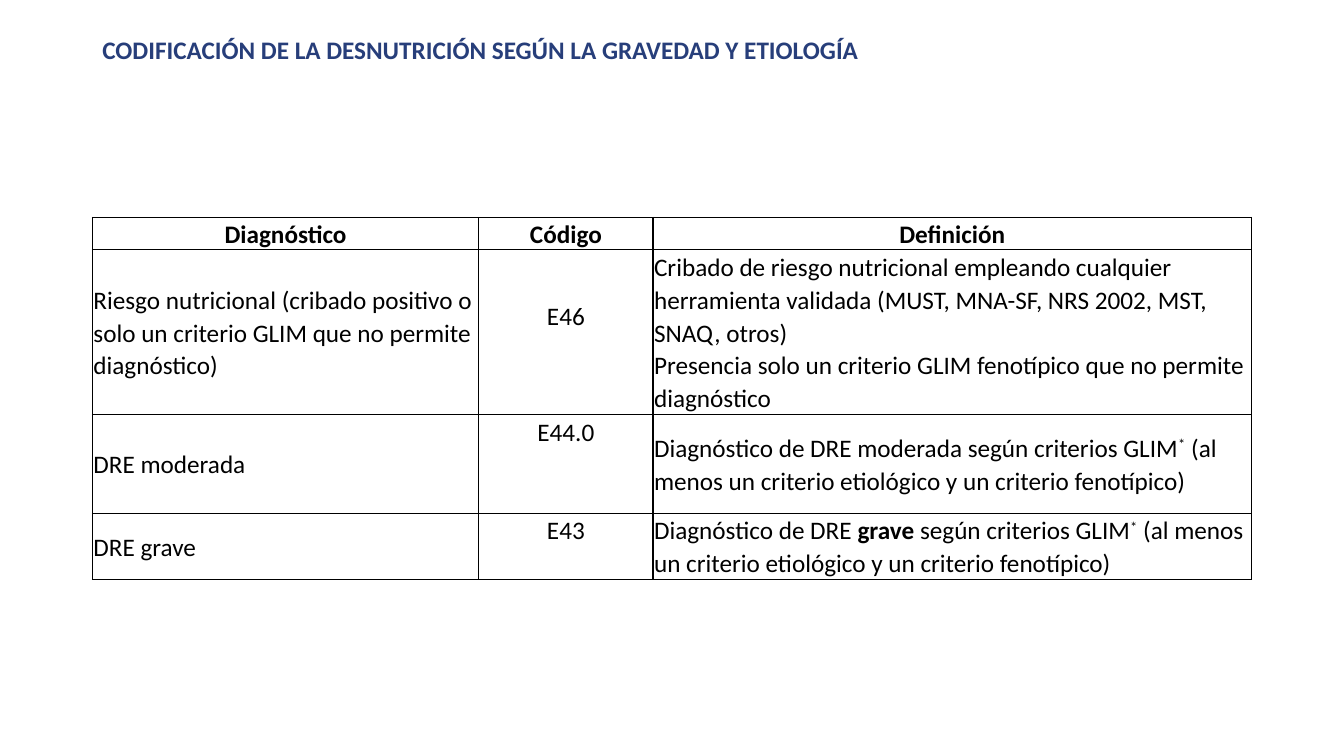
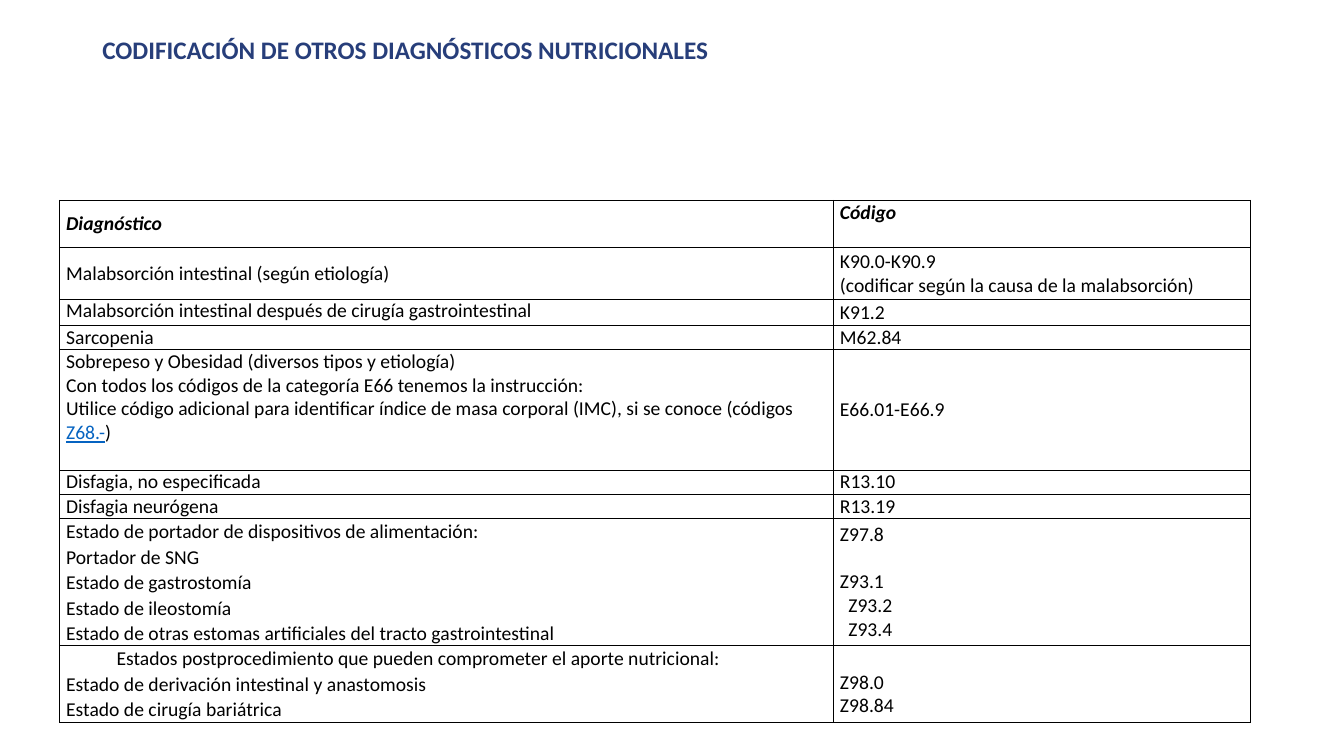
from dataclasses import dataclass

from lxml import etree
from pptx import Presentation
from pptx.dml.color import RGBColor
from pptx.enum.text import MSO_ANCHOR, PP_ALIGN
from pptx.oxml.ns import qn
from pptx.util import Pt

TOP, MIDDLE = MSO_ANCHOR.TOP, MSO_ANCHOR.MIDDLE
LEFT, CENTER = PP_ALIGN.LEFT, PP_ALIGN.CENTER

PX = 9525  # 96 px to the inch
FONT = "Calibri"
NAVY, BLACK, BLUE = "273E7A", "000000", "0563C1"
LOOSE = 1.07


@dataclass
class Line:
    runs: list  # (text, style) pairs
    indent: int = 0
    before: int = 0


@dataclass
class Cell:
    lines: list  # plain strings or Line objects
    anchor: int = MIDDLE
    align: int = LEFT
    spacing: float = 1.0
    below: int = 0
    style: str = ""


def rgb(value):
    return RGBColor.from_string(value)


def write_lines(frame, lines, size, color, style, align, spacing):
    for index, line in enumerate(lines):
        if isinstance(line, str):
            line = Line([(line, style)])
        para = frame.paragraphs[0] if index == 0 else frame.add_paragraph()
        para.alignment = align
        para.line_spacing = spacing
        if line.before:
            para.space_before = Pt(line.before)
        if line.indent:
            para._p.get_or_add_pPr().set("marL", str(line.indent * PX))
        for text, look in line.runs:
            span = para.add_run()
            span.text = text
            span.font.name = FONT
            span.font.size = Pt(size)
            span.font.bold = "bold" in look
            span.font.italic = "italic" in look
            span.font.underline = "link" in look
            span.font.color.rgb = rgb(BLUE if "link" in look else color)
            if "super" in look:
                span._r.get_or_add_rPr().set("baseline", "30000")


# Severity table
LINE_HEIGHT = 31  # one 18 pt line
CRITERIA = " (al menos un criterio etiológico y un criterio fenotípico)"
severity_rows = [
    [Cell([name], align=CENTER, spacing=LOOSE, style="bold")
     for name in ("Diagnóstico", "Código", "Definición")],
    [Cell(["Riesgo nutricional (cribado positivo o solo un criterio GLIM "
           "que no permite diagnóstico)"], spacing=LOOSE),
     Cell(["E46"], align=CENTER, spacing=LOOSE, below=LINE_HEIGHT),
     Cell(["Cribado de riesgo nutricional empleando cualquier herramienta "
           "validada (MUST, MNA-SF, NRS 2002, MST, SNAQ, otros)",
           "Presencia solo un criterio GLIM fenotípico que no permite "
           "diagnóstico"], spacing=LOOSE)],
    [Cell(["DRE moderada"], spacing=LOOSE),
     Cell(["E44.0"], align=CENTER, spacing=LOOSE, below=2 * LINE_HEIGHT),
     Cell([Line([("Diagnóstico de DRE moderada según criterios GLIM", ""),
                 ("*", "super"), (CRITERIA, "")])], spacing=LOOSE)],
    [Cell(["DRE grave"], spacing=LOOSE),
     Cell(["E43"], align=CENTER, spacing=LOOSE, below=LINE_HEIGHT),
     Cell([Line([("Diagnóstico de DRE ", ""), ("grave", "bold"),
                 (" según criterios GLIM", ""), ("*", "super"),
                 (CRITERIA, "")])], spacing=LOOSE)],
]

# Table of other diagnoses
GAP = 17  # one 14 pt line, in points
other_rows = [
    [Cell(["Diagnóstico"], style="bold italic"),
     Cell(["Código"], TOP, style="bold italic")],
    [Cell(["Malabsorción intestinal (según etiología)"]),
     Cell(["K90.0-K90.9", "(codificar según la causa de la malabsorción)"])],
    [Cell(["Malabsorción intestinal después de cirugía gastrointestinal"], TOP),
     Cell(["K91.2"])],
    [Cell(["Sarcopenia"], TOP), Cell(["M62.84"])],
    [Cell(["Sobrepeso y Obesidad (diversos tipos y etiología)",
           "Con todos los códigos de la categoría E66 tenemos la instrucción:",
           Line([("Utilice código adicional para identificar índice de masa "
                  "corporal (IMC), si se conoce (códigos ", ""),
                 ("Z68.-", "link"), (")", "")])], TOP),
     Cell(["E66.01-E66.9"])],
    [Cell(["Disfagia, no especificada"], TOP), Cell(["R13.10"], TOP)],
    [Cell(["Disfagia neurógena"], TOP), Cell(["R13.19"], TOP)],
    [Cell(["Estado de portador de dispositivos de alimentación:",
           "Portador de SNG",
           "Estado de gastrostomía",
           "Estado de ileostomía",
           "Estado de otras estomas artificiales del tracto gastrointestinal"],
          TOP, spacing=LOOSE),
     Cell(["Z97.8", Line([("Z93.1", "")], before=GAP),
           Line([("Z93.2", "")], indent=8), Line([("Z93.4", "")], indent=8)])],
    [Cell([Line([("Estados postprocedimiento que pueden comprometer el aporte "
                  "nutricional:", "")], indent=48),
           "Estado de derivación intestinal y anastomosis",
           "Estado de cirugía bariátrica"], TOP, spacing=LOOSE),
     Cell(["Z98.0", "Z98.84"], below=-1)],
]
# The last codes sit beside the last two lines of their row
other_rows[-1][1] = Cell(["Z98.0", "Z98.84"], MSO_ANCHOR.BOTTOM, below=4)

# title, left, top, column widths, row heights, text size, side inset, rows
pages = [
    ("CODIFICACIÓN DE LA DESNUTRICIÓN SEGÚN LA GRAVEDAD Y ETIOLOGÍA",
     88, 207, [368, 166, 570], [31, 157, 94, 63], 18, 1, severity_rows),
    ("CODIFICACIÓN DE OTROS DIAGNÓSTICOS NUTRICIONALES",
     57, 191, [737, 397], [45, 49, 25, 23, 115, 23, 23, 121, 73], 14, 6,
     other_rows),
]

deck = Presentation()
deck.slide_width, deck.slide_height = 1280 * PX, 720 * PX

for title, left, top, widths, heights, size, inset, rows in pages:
    page = deck.slides.add_slide(deck.slide_layouts[6])

    # Title
    box = page.shapes.add_textbox(88 * PX, 0, 1104 * PX, 97 * PX)
    box.text_frame.word_wrap = True
    box.text_frame.vertical_anchor = MIDDLE
    write_lines(box.text_frame, [title], 18, NAVY, "bold", LEFT, 0.9)

    # Table grid
    table = page.shapes.add_table(
        len(rows), len(widths), left * PX, top * PX,
        sum(widths) * PX, sum(heights) * PX).table
    table.first_row = table.horz_banding = False
    for column, width in zip(table.columns, widths):
        column.width = width * PX
    for row, height in zip(table.rows, heights):
        row.height = height * PX

    # Cells: text, then borders, then an empty fill
    for row_index, row in enumerate(rows):
        for column_index, content in enumerate(row):
            cell = table.cell(row_index, column_index)
            cell.margin_left = cell.margin_right = inset * PX
            cell.margin_top = 0
            cell.margin_bottom = content.below * PX
            cell.vertical_anchor = content.anchor
            write_lines(cell.text_frame, content.lines, size, BLACK,
                        content.style, content.align, content.spacing)
            properties = cell._tc.get_or_add_tcPr()
            for side in ("a:lnL", "a:lnR", "a:lnT", "a:lnB"):
                border = etree.SubElement(properties, qn(side), w="12700")
                paint = etree.SubElement(border, qn("a:solidFill"))
                etree.SubElement(paint, qn("a:srgbClr"), val=BLACK)
            cell.fill.background()

deck.save("out.pptx")
